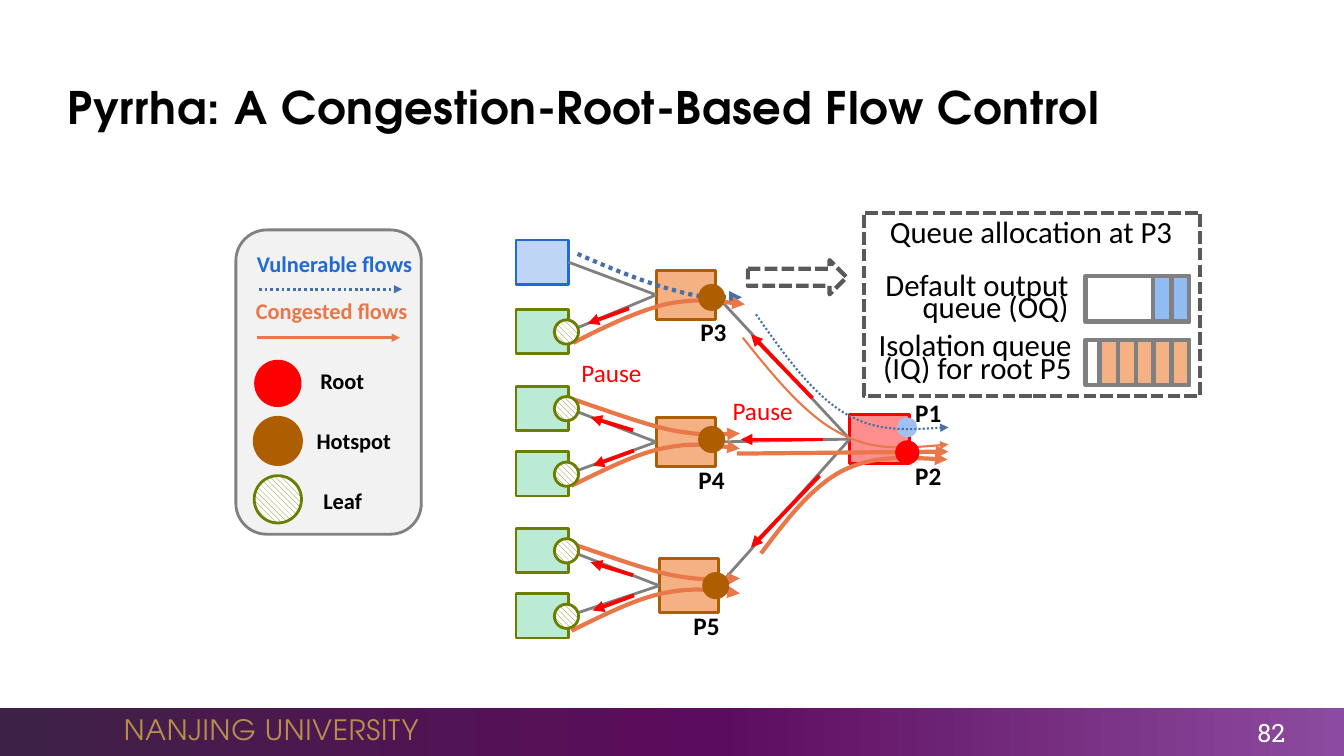
from copy import deepcopy

from lxml import etree
from pptx import Presentation
from pptx.dml.color import RGBColor
from pptx.enum.dml import MSO_LINE, MSO_PATTERN
from pptx.enum.shapes import MSO_CONNECTOR, MSO_SHAPE
from pptx.enum.text import MSO_ANCHOR, MSO_AUTO_SIZE, PP_ALIGN
from pptx.oxml.ns import qn
from pptx.util import Pt

RECT, ROUNDED, OVAL, ARROW = (MSO_SHAPE.RECTANGLE, MSO_SHAPE.ROUNDED_RECTANGLE,
                              MSO_SHAPE.OVAL, MSO_SHAPE.RIGHT_ARROW)
DOTTED, DASHED = MSO_LINE.ROUND_DOT, MSO_LINE.SQUARE_DOT
HATCH, STRIPES = MSO_PATTERN.WIDE_DOWNWARD_DIAGONAL, MSO_PATTERN.DARK_VERTICAL
LEFT, CENTER, RIGHT = PP_ALIGN.LEFT, PP_ALIGN.CENTER, PP_ALIGN.RIGHT
TOP, MIDDLE = MSO_ANCHOR.TOP, MSO_ANCHOR.MIDDLE
LEFT_SIDE, RIGHT_SIDE = 1, 3

BLACK, WHITE, GRAY, DARK_GRAY = "000000", "FFFFFF", "808080", "595959"
RED, BROWN, OLIVE, BLUE = "FF0000", "AD5E00", "6C7E00", "2169D3"
FLOW_BLUE, FLOW_ORANGE, PEACH, SKY = "476FAA", "E8774A", "F4B183", "91BBF3"
HEADING_FONT, BODY_FONT, NUMBER_FONT = "TeX Gyre Adventor", "Calibri", "Roboto Slab"

TITLE = "Pyrrha: A Congestion-Root-Based Flow Control"
BAR_STOPS = [(0, "3E2146"), (0.53, "5C0C5C"), (1, "8C4BA0")]

# name: (left, top, width, height, fill, line)
SWITCHES = {
    "root": (607, 296, 42.5, 35.3, "FF8F8F", RED),
    "P3": (468.7, 193, 42.5, 35.3, PEACH, BROWN),
    "P4": (468.7, 298.1, 42.5, 35.3, PEACH, BROWN),
    "P5": (470.9, 398.9, 42.5, 38.9, PEACH, BROWN),
}
# (top, switch, carries congested flows)
HOSTS = [(171.4, "P3", False), (221, "P3", True), (275.8, "P4", True),
         (322.6, "P4", True), (377.3, "P5", True), (424.1, "P5", True)]
HOST_LEFT, HOST_WIDTH, HOST_HEIGHT = 368.6, 37.4, 31.7
LEAF_LEFT, LEAF_DROP, MARKER = 396, 7.5, 17.3
HOTSPOTS = [(499.7, 203.8), (499.7, 305.3), (502.6, 409.7)]

P5_SHIFT = 103.5  # P5 repeats the flows of P4 lower down
UPPER_FLOW = [(409, 285.1), (434.9, 293.8), (460.1, 303.1), (480.2, 307.4),
              (500.4, 311), (514.8, 310.3), (528.5, 309.6)]
LOWER_FLOW = [(408.2, 347), (430.6, 336.2), (452.9, 324.7), (473, 320.4),
              (493.2, 316.1), (511.2, 318.2), (528.5, 320.4)]
# (colour, width, dash, start and two cubic segments)
FLOWS = [
    (FLOW_BLUE, 1.5, DOTTED, [(540, 224.6), (560.2, 253.4), (580.3, 281.5), (603.4, 295.2),
                              (626.4, 308.9), (651.6, 306.7), (677.5, 305.3)]),
    (FLOW_ORANGE, 1.5, None, [(530.6, 241.2), (553, 269.3), (576, 297.4), (600.5, 309.6),
                              (624.2, 322.6), (650.9, 319.7), (677.5, 317.5)]),
    (FLOW_ORANGE, 3, None, [(543.6, 395.3), (561.6, 371.5), (579.6, 347.8), (601.9, 336.2),
                            (624.2, 325.4), (650.2, 326.9), (676.8, 328.3)]),
    (FLOW_BLUE, 3, DOTTED, [(412.6, 181.4), (437, 192.2), (462.2, 202.3), (481.7, 207.4),
                            (501.1, 213.1), (515.5, 212.4), (529.9, 212.4)]),
    (FLOW_ORANGE, 3, None, [(409.7, 244.8), (432, 233.3), (455, 222.5), (475.2, 217.4),
                            (496.1, 213.1), (514.1, 215.3), (532.1, 217.4)]),
]
for shift in (0, P5_SHIFT):
    for flow in (UPPER_FLOW, LOWER_FLOW):
        FLOWS.append((FLOW_ORANGE, 3, None, [(x, y + shift) for x, y in flow]))

LEAF_PAUSES = [(452.2, 307.4, 421.9, 298.1), (452.9, 321.8, 423.4, 332.6)]
PAUSES = [(580.3, 284.4, 536.4, 239), (588.2, 313.9, 529.2, 313.9),
          (585.4, 339.8, 536.4, 391), (449.3, 220.3, 419.8, 231.1)]
for shift in (0, P5_SHIFT):
    PAUSES += [(x1, y1 + shift, x2, y2 + shift) for x1, y1, x2, y2 in LEAF_PAUSES]

# (top, cell count, cell fill)
QUEUES = [(197.3, 2, SKY), (242.6, 5, PEACH)]
QUEUE_LEFT, QUEUE_WIDTH, QUEUE_HEIGHT, CELL_WIDTH, CELL_PITCH = 775.4, 74.2, 32.4, 13, 12.8

PORT = {"size": 18, "bold": True}
KEY = {"size": 16, "bold": True}
PAUSE = {"size": 18, "color": RED}
QUEUE = {"size": 22, "spacing": 16}
# (text, left, top, width, height, format)
LABELS = [
    ("P1", 646.6, 280.1, 64, 29, PORT),
    ("P2", 646.6, 325.4, 64, 29, PORT),
    ("P3", 493.2, 222.5, 64, 29, PORT),
    ("P4", 491.8, 328.3, 64, 29, PORT),
    ("P5", 488.2, 432.7, 64, 29, PORT),
    ("Pause", 516.2, 278.6, 64, 29, PAUSE),
    ("Pause", 408.2, 252, 64, 29, PAUSE),
    ("Vulnerable flows", 176.4, 175, 126.7, 26.6, KEY | {"color": BLUE}),
    ("Congested flows", 175.7, 208.8, 126.7, 26.6, KEY | {"color": FLOW_ORANGE}),
    ("Root", 193, 258.5, 103, 26.6, KEY | {"align": CENTER}),
    ("Hotspot", 193, 301.7, 119.5, 26.6, KEY | {"align": CENTER}),
    ("Leaf", 185, 344.2, 119.5, 26.6, KEY | {"align": CENTER}),
    ("Queue allocation at P3", 613.4, 159.1, 246.2, 25.2, QUEUE | {"align": CENTER}),
    ("Default output queue (OQ)", 615.6, 196.6, 154.8, 41.8, QUEUE | {"align": RIGHT}),
    ("Isolation queue (IQ) for root P5", 616.3, 239.8, 156.2, 41.8, QUEUE | {"align": RIGHT}),
    ("NANJING UNIVERSITY", 81.4, 505.4, 240, 31.7,
     {"size": 20, "font": HEADING_FONT, "color": "B88F4C", "tracking": 50, "anchor": MIDDLE}),
    ("82", 848.9, 510.5, 76.3, 25.2,
     {"size": 18, "font": NUMBER_FONT, "color": WHITE, "align": RIGHT, "anchor": MIDDLE}),
]


def rgb(color):
    return RGBColor.from_string(color)


def set_line(shape, color, width, dash=None, arrow=False):
    shape.line.color.rgb = rgb(color)
    shape.line.width = Pt(width)
    if dash:
        shape.line.dash_style = dash
    if arrow:
        outline = shape._element.spPr.find(qn("a:ln"))
        etree.SubElement(outline, qn("a:tailEnd"), type="triangle")


def add_box(kind, left, top, width, height, fill=None, line=None, weight=2, dash=None, pattern=None):
    shape = page.shapes.add_shape(kind, Pt(left), Pt(top), Pt(width), Pt(height))
    shape.shadow.inherit = False
    if pattern:
        shape.fill.patterned()
        shape.fill.pattern = pattern
        shape.fill.fore_color.rgb, shape.fill.back_color.rgb = rgb(fill), rgb(WHITE)
    elif fill:
        shape.fill.solid()
        shape.fill.fore_color.rgb = rgb(fill)
    else:
        shape.fill.background()
    if line:
        set_line(shape, line, weight, dash)
    else:
        shape.line.fill.background()
    return shape


def add_line(x1, y1, x2, y2, color, width, dash=None, arrow=True):
    line = page.shapes.add_connector(MSO_CONNECTOR.STRAIGHT, Pt(x1), Pt(y1), Pt(x2), Pt(y2))
    set_line(line, color, width, dash, arrow)
    etree.SubElement(line._element.spPr, qn("a:effectLst"))
    return line


def add_link(first, second):
    """Join the left side of one box to the right side of another."""
    link = add_line(0, 0, 0, 0, GRAY, 2, arrow=False)
    link.begin_connect(first, LEFT_SIDE)
    link.end_connect(second, RIGHT_SIDE)


def add_curve(points, color, width, dash):
    """Draw an open outline whose segments are turned into two cubic curves."""
    points = [(Pt(x), Pt(y)) for x, y in points]
    builder = page.shapes.build_freeform(*points[0])
    builder.add_line_segments(points[1:], close=False)
    curve = builder.convert_to_shape()
    curve.shadow.inherit = False
    curve.fill.background()
    outline = curve._element.spPr.find(".//" + qn("a:path"))
    segments = outline.findall(qn("a:lnTo"))
    for start in range(0, len(segments), 3):
        cubic = etree.SubElement(outline, qn("a:cubicBezTo"))
        for segment in segments[start:start + 3]:
            cubic.append(segment[0])
            outline.remove(segment)
    set_line(curve, color, width, dash, arrow=True)


def write(box, text, style):
    frame = box.text_frame
    frame.word_wrap = True
    frame.auto_size = MSO_AUTO_SIZE.NONE
    frame.vertical_anchor = style.get("anchor", TOP)
    para = frame.paragraphs[0]
    para.alignment = style.get("align", LEFT)
    if "spacing" in style:
        para.line_spacing = Pt(style["spacing"])
    span = para.add_run()
    span.text = text
    span.font.color.rgb = rgb(style.get("color", BLACK))
    values = {"name": style.get("font", BODY_FONT), "size": Pt(style["size"]),
              "bold": style.get("bold", False)}
    for name, value in values.items():
        setattr(span.font, name, value)
    if "tracking" in style:
        span._r.get_or_add_rPr().set("spc", str(style["tracking"]))


deck = Presentation()
deck.slide_width, deck.slide_height = Pt(960), Pt(540)
page = deck.slides.add_slide(deck.slide_layouts[5])

title = page.shapes.title
title.left, title.top, title.width, title.height = Pt(41), Pt(48.2), Pt(864), Pt(55.4)
write(title, TITLE, {"size": 32, "font": HEADING_FONT, "bold": True, "tracking": 50, "anchor": MIDDLE})

bar = add_box(RECT, 0, 505.4, 960, 34.6)
bar.fill.gradient()
bar.fill.gradient_angle = 0
stop_list = bar._element.spPr.find(".//" + qn("a:gsLst"))
stop_list.insert(1, deepcopy(stop_list[0]))
for stop, (position, color) in zip(bar.fill.gradient_stops, BAR_STOPS):
    stop.position, stop.color.rgb = position, rgb(color)

switches = {name: add_box(RECT, *box) for name, box in SWITCHES.items()}
for name in ("P3", "P4", "P5"):
    add_link(switches["root"], switches[name])
for top, name, congested in HOSTS:
    colors = ("BBEAD5", OLIVE) if congested else ("BFD5F5", BLUE)
    host = add_box(RECT, HOST_LEFT, top, HOST_WIDTH, HOST_HEIGHT, *colors)
    add_link(switches[name], host)

add_box(OVAL, 640.8, 298.1, 14.4, 14.4, "A0C0F0")
for color, width, dash, points in FLOWS:
    add_curve(points, color, width, dash)
add_line(526.3, 324, 677.5, 322.6, FLOW_ORANGE, 3)
add_box(OVAL, 639.4, 314.6, MARKER, MARKER, RED)
for left, top in HOTSPOTS:
    add_box(OVAL, left, top, MARKER, MARKER, BROWN, BROWN, pattern=STRIPES)
for top, name, congested in HOSTS:
    if congested:
        add_box(OVAL, LEAF_LEFT, top + LEAF_DROP, MARKER, MARKER, OLIVE, OLIVE, pattern=HATCH)
for ends in PAUSES:
    add_line(*ends, RED, 2.75)

add_box(ROUNDED, 168.5, 164.2, 132.5, 217.4, "F2F2F2", GRAY)
add_line(185, 206.6, 287.3, 206.6, FLOW_BLUE, 2, DOTTED)
add_line(183.6, 241.2, 285.8, 241.2, FLOW_ORANGE, 2)
for top, color, line, pattern in [(257, RED, None, None), (298.1, BROWN, BROWN, STRIPES),
                                  (339.8, OLIVE, OLIVE, HATCH)]:
    add_box(OVAL, 181.6, top, 33.8, 33.8, color, line, pattern=pattern)

add_box(RECT, 617, 151.9, 240.5, 131, None, DARK_GRAY, 3, DASHED)
add_box(ARROW, 534.2, 185.8, 70.6, 24.5, None, DARK_GRAY, 3, DASHED)
for top, count, color in QUEUES:
    add_box(RECT, QUEUE_LEFT, top, QUEUE_WIDTH, QUEUE_HEIGHT, None, GRAY, 3)
    for cell in range(count):
        left = QUEUE_LEFT + QUEUE_WIDTH - CELL_WIDTH - cell * CELL_PITCH
        add_box(RECT, left, top, CELL_WIDTH, QUEUE_HEIGHT, color, GRAY, 3)

for text, left, top, width, height, style in LABELS:
    write(page.shapes.add_textbox(Pt(left), Pt(top), Pt(width), Pt(height)), text, style)

deck.save("out.pptx")
